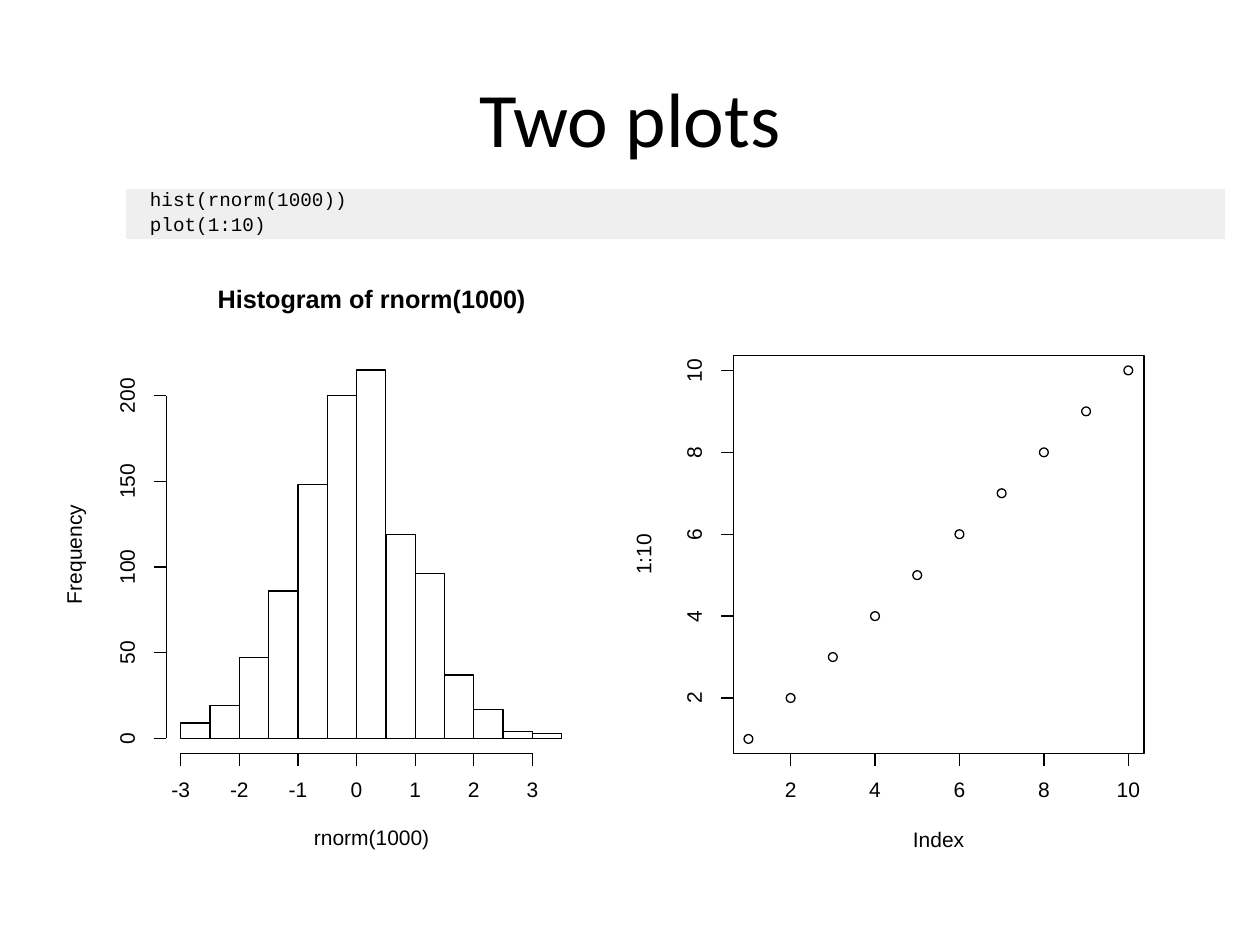
from dataclasses import dataclass

from lxml.etree import SubElement
from pptx import Presentation
from pptx.dml.color import RGBColor
from pptx.enum.shapes import MSO_CONNECTOR as Connector, MSO_SHAPE as Preset
from pptx.enum.text import MSO_ANCHOR as Anchor, PP_ALIGN as Align
from pptx.oxml.ns import qn
from pptx.util import Inches, Pt

BLACK, WHITE, CODE_FILL = "000000", "FFFFFF", "EFEFEF"
NO_GRID_STYLE = "{2D5ABB26-0587-4C30-8999-92F81FD0307C}"
PANEL_WIDTH, PANEL_HEIGHT = 4.5, 5
AXIS_X, AXIS_Y, TICK = 0.82, 3.98, 0.1
COUNTS = [9, 19, 47, 86, 148, 200, 215, 119, 96, 37, 17, 4, 3]
BIN_WIDTH = 0.5


@dataclass
class Scale:
    """Turns data values into inches inside a panel."""
    zero_x: float
    unit_x: float
    zero_y: float
    unit_y: float

    def x(self, value):
        return self.zero_x + value * self.unit_x

    def y(self, value):
        return self.zero_y - value * self.unit_y


def color(hex_code):
    return RGBColor.from_string(hex_code)


def add_run(paragraph, text, size, font, bold=False):
    run = paragraph.add_run()
    run.text = text
    run.font.size = Pt(size)
    run.font.name = font
    run.font.bold = bold
    run.font.color.rgb = color(BLACK)


class Panel:
    """A group of drawn parts, placed relative to the panel's corner."""

    def __init__(self, slide, left, top):
        self.left, self.top = left, top
        self.shapes = slide.shapes.add_group_shape().shapes
        self.preset(Preset.RECTANGLE, 0, 0, PANEL_WIDTH, PANEL_HEIGHT, WHITE, WHITE)

    def at(self, x, y):
        return Inches(self.left + x), Inches(self.top + y)

    def preset(self, kind, x, y, width, height, line=BLACK, fill=None):
        shape = self.shapes.add_shape(kind, *self.at(x, y), Inches(width), Inches(height))
        shape.shadow.inherit = False
        if fill:
            shape.fill.solid()
            shape.fill.fore_color.rgb = color(fill)
        else:
            shape.fill.background()
        shape.line.color.rgb = color(line)
        shape.line.width = Pt(0.75)

    def line(self, x1, y1, x2, y2):
        connector = self.shapes.add_connector(
            Connector.STRAIGHT, *self.at(x1, y1), *self.at(x2, y2))
        connector.line.color.rgb = color(BLACK)
        connector.line.width = Pt(0.75)
        SubElement(connector._element.spPr, qn("a:effectLst"))

    def label(self, text, center_x, center_y, width, rotation=0, size=12, bold=False):
        height = 0.12
        box = self.shapes.add_textbox(
            *self.at(center_x - width / 2, center_y - height / 2),
            Inches(width), Inches(height))
        box.rotation = rotation
        frame = box.text_frame
        frame.margin_left = frame.margin_right = frame.margin_top = frame.margin_bottom = 0
        frame.vertical_anchor = Anchor.MIDDLE
        frame.word_wrap = False
        paragraph = frame.paragraphs[0]
        paragraph.alignment = Align.CENTER
        paragraph.line_spacing = Pt(size)
        add_run(paragraph, text, size, "Arial", bold)

    def tick_label(self, value, x, y, rotation=0):
        text = str(value)
        self.label(text, x, y, 0.1 * len(text), rotation)

    def axes(self, scale, x_ticks, y_ticks):
        # Horizontal axis
        self.line(scale.x(x_ticks[0]), AXIS_Y, scale.x(x_ticks[-1]), AXIS_Y)
        for value in x_ticks:
            x = scale.x(value)
            self.line(x, AXIS_Y, x, AXIS_Y + TICK)
            self.tick_label(value, x, AXIS_Y + 0.3)
        # Vertical axis
        self.line(AXIS_X, scale.y(y_ticks[0]), AXIS_X, scale.y(y_ticks[-1]))
        for value in y_ticks:
            y = scale.y(value)
            self.line(AXIS_X, y, AXIS_X - TICK, y)
            self.tick_label(value, AXIS_X - 0.3, y, 270)


def add_title(slide, left, top, width, height):
    title = slide.shapes.title
    title.left, title.top = Inches(left), Inches(top)
    title.width, title.height = Inches(width), Inches(height)
    title.text_frame.vertical_anchor = Anchor.MIDDLE
    paragraph = title.text_frame.paragraphs[0]
    paragraph.alignment = Align.CENTER
    add_run(paragraph, "Two plots", 44, "Calibri")


def add_code(slide, left, top, indent, width, row_height):
    lines = ["hist(rnorm(1000))", "plot(1:10)"]
    table = slide.shapes.add_table(
        len(lines), 2, Inches(left), Inches(top),
        Inches(indent + width), Inches(row_height * len(lines))).table
    table.first_row = table.horz_banding = False
    table._tbl.tblPr.find(qn("a:tableStyleId")).text = NO_GRID_STYLE
    table.columns[0].width, table.columns[1].width = Inches(indent), Inches(width)
    for row, text in zip(table.rows, lines):
        row.height = Inches(row_height)
        for cell in row.cells:
            cell.fill.solid()
            cell.fill.fore_color.rgb = color(CODE_FILL)
            cell.margin_left = cell.margin_right = cell.margin_top = cell.margin_bottom = 0
            cell.vertical_anchor = Anchor.MIDDLE
        # The empty indent cell needs a small size to keep the row low
        indent_paragraph = row.cells[0].text_frame.paragraphs[0]
        SubElement(indent_paragraph._p, qn("a:endParaRPr"), sz="1100")
        add_run(row.cells[1].text_frame.paragraphs[0], text, 11, "Courier New")


def add_histogram(slide, left, top):
    panel = Panel(slide, left, top)
    scale = Scale(2.33, 0.465, 3.86, 0.0136)
    panel.label("Histogram of rnorm(1000)", 2.45, 0.39, 2.6, size=14.4, bold=True)
    panel.label("rnorm(1000)", 2.45, 4.66, 1)
    panel.label("Frequency", 0.1, 2.4, 0.9, 270)
    panel.axes(scale, range(-3, 4), range(0, 201, 50))
    # Bars
    for index, count in enumerate(COUNTS):
        panel.preset(Preset.RECTANGLE, scale.x(-3 + index * BIN_WIDTH), scale.y(count),
                     BIN_WIDTH * scale.unit_x, count * scale.unit_y)


def add_scatter(slide, left, top):
    panel = Panel(slide, left, top)
    scale = Scale(0.605, 0.335, 4.19, 0.325)
    # Points
    diameter = 0.07
    for value in range(1, 11):
        panel.preset(Preset.OVAL, scale.x(value) - diameter / 2,
                     scale.y(value) - diameter / 2, diameter, diameter)
    ticks = range(2, 11, 2)
    panel.axes(scale, ticks, ticks)
    # Frame
    panel.preset(Preset.RECTANGLE, AXIS_X, 0.82, 3.26, AXIS_Y - 0.82)
    panel.label("Index", 2.45, 4.68, 0.5)
    panel.label("1:10", 0.12, 2.4, 0.4, 270)


def main():
    presentation = Presentation()
    presentation.slide_width, presentation.slide_height = Inches(10), Inches(7.5)
    slide = presentation.slides.add_slide(presentation.slide_layouts[5])
    add_title(slide, 0.5, 0.3, 9, 1.25)
    add_code(slide, 1, 1.5, 0.19, 8.53, 0.2)
    add_histogram(slide, 0.5, 2)
    add_scatter(slide, 0.5 + PANEL_WIDTH, 2)
    presentation.save("out.pptx")


if __name__ == "__main__":
    main()
